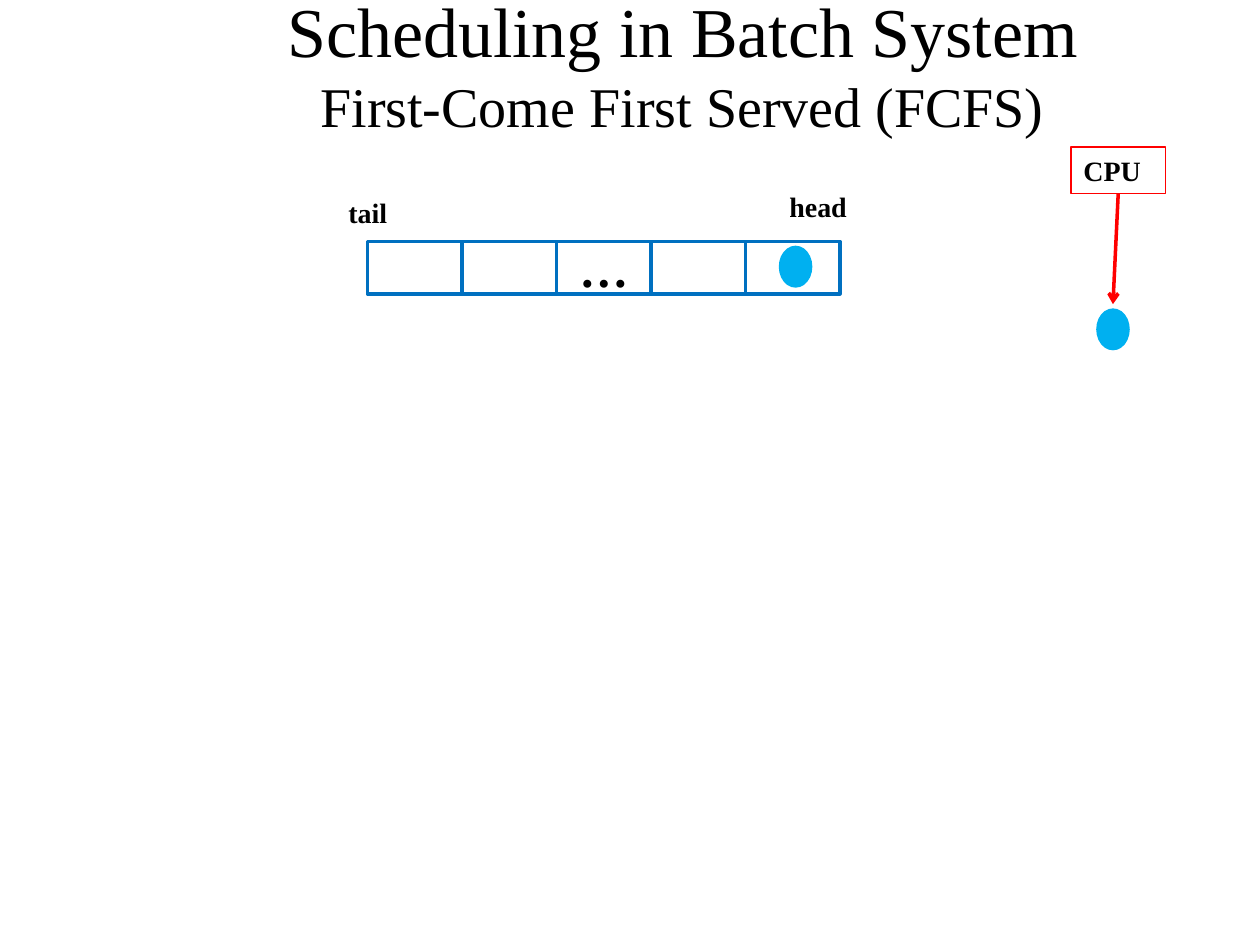
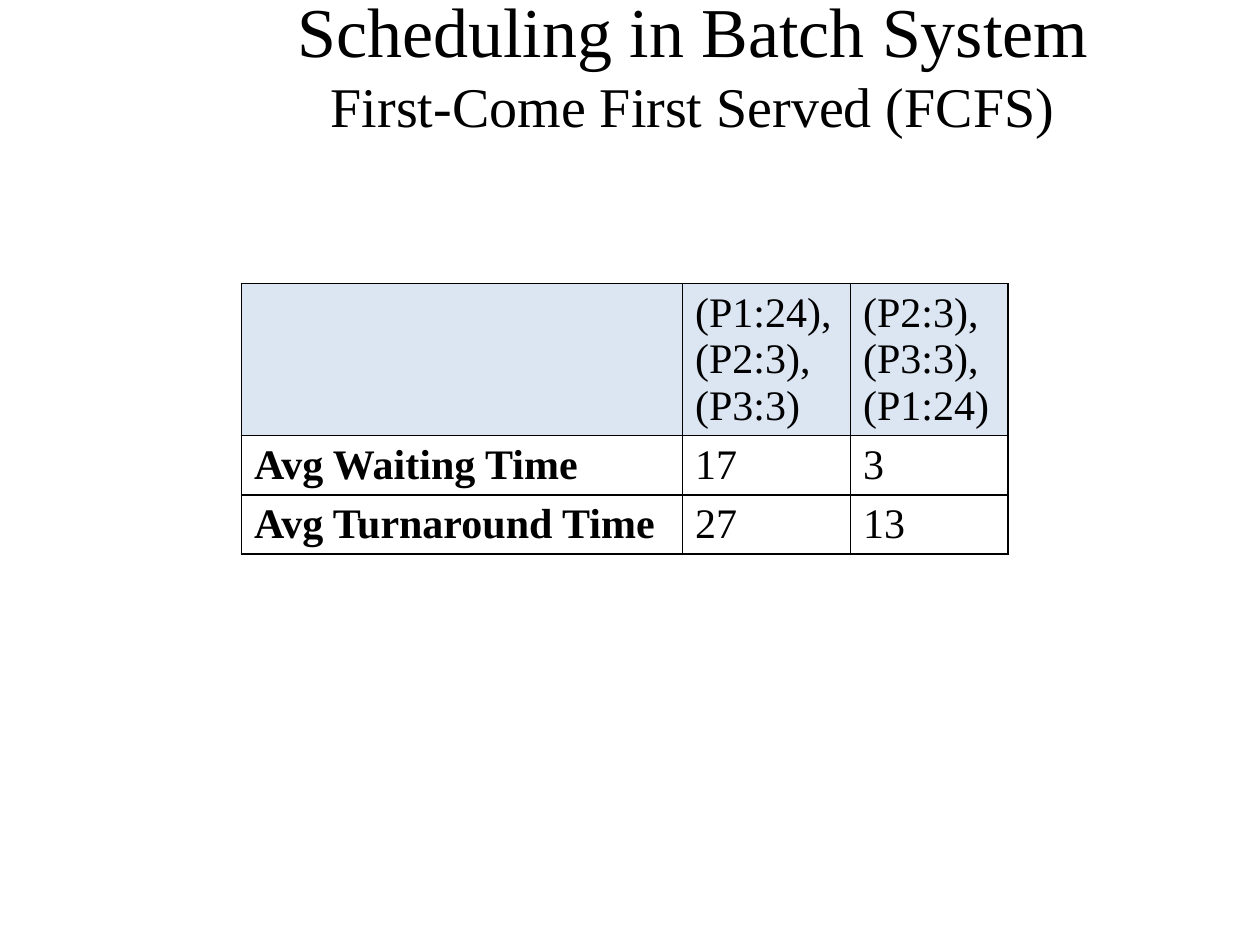
import pptx
import pptx.util
import pptx.dml.color
import pptx.enum.shapes
import pptx.enum.text
import pptx.oxml
import pptx.oxml.ns
import lxml.etree

Pt = pptx.util.Pt
RGB = pptx.dml.color.RGBColor
SHAPE = pptx.enum.shapes.MSO_SHAPE
ALIGN = pptx.enum.text.PP_ALIGN
ANCHOR = pptx.enum.text.MSO_ANCHOR

FONT = "Times New Roman"
BLACK = RGB(0x00, 0x00, 0x00)
QUEUE_BLUE = RGB(0x00, 0x70, 0xC0)
JOB_BLUE = RGB(0x00, 0xB0, 0xF0)
RED = RGB(0xFF, 0x00, 0x00)
HEADER_FILL = RGB(0xDC, 0xE6, 0xF2)


def add_run(p, text, size, bold=False):
    r = p.add_run()
    r.text = text
    r.font.name, r.font.size, r.font.bold = FONT, Pt(size), bold
    r.font.color.rgb = BLACK


def add_child(parent, tag, **attributes):
    child = lxml.etree.SubElement(parent, pptx.oxml.ns.qn(tag))
    for name, value in attributes.items():
        child.set(name, value)
    return child


def add_title(s, left, width):
    """Two-line title, centred across the given width."""
    title = s.shapes.title
    title.left, title.top, title.width, title.height = Pt(left), Pt(0), Pt(width), Pt(72)
    tf = title.text_frame
    tf.auto_size = pptx.enum.text.MSO_AUTO_SIZE.NONE
    tf.vertical_anchor = ANCHOR.MIDDLE
    p = tf.paragraphs[0]
    p.alignment = ALIGN.CENTER
    add_run(p, "Scheduling in Batch System", 40)
    p.add_line_break()
    add_run(p, "First-Come First Served (FCFS)", 32)


def add_outline_box(shapes, left, top, width, height, color, weight):
    box = shapes.add_shape(SHAPE.RECTANGLE, Pt(left), Pt(top), Pt(width), Pt(height))
    box.shadow.inherit = False
    box.fill.background()
    box.line.color.rgb, box.line.width = color, Pt(weight)
    return box


def add_label(s, text, left, top, width, height=26.6):
    sp = s.shapes.add_textbox(Pt(left), Pt(top), Pt(width), Pt(height))
    sp.text_frame.word_wrap = True
    add_run(sp.text_frame.paragraphs[0], text, 16, True)


def add_job(s, left, top):
    job = s.shapes.add_shape(SHAPE.OVAL, Pt(left), Pt(top), Pt(19.2), Pt(24))
    job.shadow.inherit = False
    job.fill.solid()
    job.fill.fore_color.rgb = JOB_BLUE
    job.line.fill.background()


def add_arrow(s, x1, y1, x2, y2):
    arrow = s.shapes.add_connector(
        pptx.enum.shapes.MSO_CONNECTOR.STRAIGHT, Pt(x1), Pt(y1), Pt(x2), Pt(y2))
    arrow.line.color.rgb, arrow.line.width = RED, Pt(2)
    add_child(arrow.line._get_or_add_ln(), "a:tailEnd", type="arrow")
    add_child(arrow._element.spPr, "a:effectLst")


def add_queue(s, left, top, width, height, count=5):
    """Row of equal cells with an ellipsis in the middle and a job at the head."""
    cell_width = width / count
    group = s.shapes.add_group_shape()
    for i in range(count):
        cell = add_outline_box(group.shapes, left + i * cell_width, top,
                               cell_width, height, QUEUE_BLUE, 2)
        if i == count // 2:
            tf = cell.text_frame
            tf.vertical_anchor = ANCHOR.MIDDLE
            p = tf.paragraphs[0]
            p.alignment = ALIGN.CENTER
            add_run(p, "…", 28, True)
    add_label(s, "tail", left - 18, top - 30, 42)
    add_label(s, "head", left + width - 36, top - 33, 60)
    add_job(s, left + width - 35, top + 2.4)


def add_cpu(s, left, top, width, height):
    """CPU box with an arrow down to the job that it runs."""
    box = add_outline_box(s.shapes, left, top, width, height, RED, 0.75)
    box.text_frame.vertical_anchor = ANCHOR.TOP
    p = box.text_frame.paragraphs[0]
    p.alignment = ALIGN.LEFT
    add_run(p, "CPU", 16, True)
    middle = left + width / 2
    job_top = top + height + 65.6
    add_arrow(s, middle, top + height, middle - 3, job_top - 2.4)
    add_job(s, middle - 12.6, job_top)


def set_borders(cell):
    tcPr = cell._tc.get_or_add_tcPr()
    for i, side in enumerate("LRTB"):
        ln = pptx.oxml.parse_xml(
            '<a:ln%s %s w="12700"><a:solidFill><a:srgbClr val="%s"/></a:solidFill></a:ln%s>'
            % (side, pptx.oxml.ns.nsdecls("a"), BLACK, side))
        tcPr.insert(i, ln)


def add_times_table(s, left, top, widths, heights, rows):
    table = s.shapes.add_table(len(rows), len(widths), Pt(left), Pt(top),
                               Pt(sum(widths)), Pt(sum(heights))).table
    for column, width in zip(table.columns, widths):
        column.width = Pt(width)
    for i, (height, texts) in enumerate(zip(heights, rows)):
        table.rows[i].height = Pt(height)
        for j, text in enumerate(texts):
            cell = table.cell(i, j)
            if i == 0:
                cell.fill.solid()
                cell.fill.fore_color.rgb = HEADER_FILL
            else:
                cell.fill.background()
            set_borders(cell)
            if text:
                add_run(cell.text_frame.paragraphs[0], text, 24, j == 0)


prs = pptx.Presentation()
prs.slide_width, prs.slide_height = Pt(720), Pt(540)
title_only = prs.slide_layouts[5]

# Slide 1: the queue and the CPU
s = prs.slides.add_slide(title_only)
add_title(s, 96, 588)
add_queue(s, 210, 138, 270, 30)
add_cpu(s, 612, 84, 54, 26.6)

# Slide 2: average times for two arrival orders
s = prs.slides.add_slide(title_only)
add_title(s, 72, 648)
add_times_table(s, 138, 162, [252, 96, 90], [87, 33.8, 33.8], [
    ["", "(P1:24), (P2:3), (P3:3)", "(P2:3), (P3:3), (P1:24)"],
    ["Avg Waiting Time", "17", "3"],
    ["Avg Turnaround Time", "27", "13"],
])

prs.save("out.pptx")
